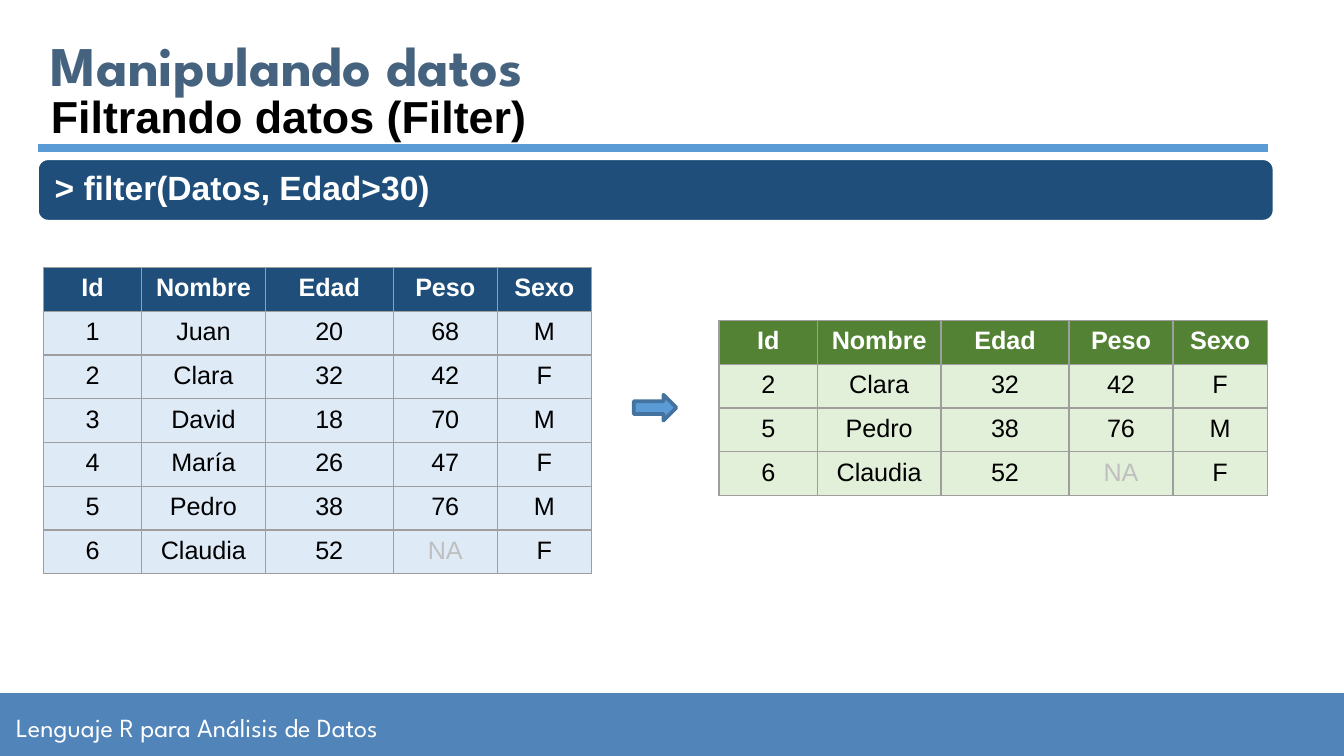
"""Builds the slide on filtering rows of a data table in R."""
import lxml.etree
import pptx
import pptx.dml.color
import pptx.enum.shapes
import pptx.enum.text
import pptx.oxml.ns
import pptx.util

Pt = pptx.util.Pt
qn = pptx.oxml.ns.qn
SHAPE = pptx.enum.shapes.MSO_SHAPE
ANCHOR = pptx.enum.text.MSO_ANCHOR


def paint(color_format, value):
    color_format.rgb = pptx.dml.color.RGBColor.from_string(value)


def write(frame, text, size, font, color, bold=False):
    run = frame.paragraphs[0].add_run()
    run.text = text
    run.font.size = Pt(size)
    run.font.name = font
    run.font.bold = bold
    paint(run.font.color, color)


deck = pptx.Presentation()
deck.slide_width, deck.slide_height = Pt(720), Pt(405)
slide = deck.slides.add_slide(deck.slide_layouts[6])
command = slide.shapes.add_group_shape()

blocks = [
    (slide, SHAPE.RECTANGLE, 0, 371.3, 720, 33.7, "5184B9", None, 0),
    (command, SHAPE.ROUNDED_RECTANGLE, 20.3, 85.3, 662, 33, "1E4E79", "FFFFFF", 1),
    (slide, SHAPE.RIGHT_ARROW, 339.6, 211.5, 22.8, 13.8, "5B9BD5", "43739E", 2),
]
for parent, kind, left, top, width, height, fill, outline, weight in blocks:
    block = parent.shapes.add_shape(kind, Pt(left), Pt(top), Pt(width), Pt(height))
    block.shadow.inherit = False
    block.fill.solid()
    paint(block.fill.fore_color, fill)
    if outline:
        paint(block.line.color, outline)
        block.line.width = Pt(weight)
    else:
        block.line.fill.background()

texts = [
    (slide, "Lenguaje R para Análisis de Datos", 1.5, 372.5, 358, 33.5,
     7.2, 7.2, 14, "League Spartan", "FFFFFF", False, ANCHOR.MIDDLE, 1),
    (slide, "Manipulando datos", 20.2, 16, 474.5, 36.5,
     7.2, 7.2, 30, "League Spartan", "45637F", True, ANCHOR.MIDDLE, 1),
    (command, "> filter(Datos, Edad>30)", 23.3, 86.6, 656, 30.3,
     6, 6, 18, "Arial", "FFFFFF", True, ANCHOR.MIDDLE, 0.9),
    (slide, "Filtrando datos (Filter)", 20.2, 44.2, 673, 36,
     7.2, 3.6, 24, "Arial", "000000", True, ANCHOR.TOP, 1),
]
for (parent, text, left, top, width, height, side, edge,
     size, font, color, bold, anchor, spacing) in texts:
    frame = parent.shapes.add_textbox(Pt(left), Pt(top), Pt(width), Pt(height)).text_frame
    frame.word_wrap = True
    frame.vertical_anchor = anchor
    frame.margin_left = frame.margin_right = Pt(side)
    frame.margin_top = frame.margin_bottom = Pt(edge)
    frame.paragraphs[0].line_spacing = spacing
    write(frame, text, size, font, color, bold)

rule = slide.shapes.add_connector(
    pptx.enum.shapes.MSO_CONNECTOR.STRAIGHT, Pt(20.3), Pt(79.2), Pt(679.3), Pt(79.2))
paint(rule.line.color, "5B9BD5")
rule.line.width = Pt(4.5)
lxml.etree.SubElement(rule._element.spPr, qn("a:effectLst"))

header = ["Id", "Nombre", "Edad", "Peso", "Sexo"]
people = [
    ["1", "Juan", "20", "68", "M"],
    ["2", "Clara", "32", "42", "F"],
    ["3", "David", "18", "70", "M"],
    ["4", "María", "26", "47", "F"],
    ["5", "Pedro", "38", "76", "M"],
    ["6", "Claudia", "52", "NA", "F"],
]
over_30 = [person for person in people if int(person[2]) > 30]
column_widths = [52.7, 66.2, 68.6, 55.7, 50.5]
row_height = 23.45

for records, left, top, head_fill, body_fill in [
    (over_30, 385.2, 171.7, "548235", "E2F0D9"),
    (people, 23.2, 143.3, "1E4E79", "DEEBF7"),
]:
    rows = [header] + records
    table = slide.shapes.add_table(
        len(rows), len(header), Pt(left), Pt(top),
        Pt(sum(column_widths)), Pt(row_height * len(rows))).table
    for column, width in zip(table.columns, column_widths):
        column.width = Pt(width)
    for r, values in enumerate(rows):
        table.rows[r].height = Pt(row_height)
        for c, value in enumerate(values):
            cell = table.cell(r, c)
            for side in ("a:lnL", "a:lnR", "a:lnT", "a:lnB"):
                border = lxml.etree.SubElement(
                    cell._tc.get_or_add_tcPr(), qn(side), w=str(Pt(0.75)))
                border_fill = lxml.etree.SubElement(border, qn("a:solidFill"))
                lxml.etree.SubElement(border_fill, qn("a:srgbClr"), val="9E9E9E")
            cell.fill.solid()
            paint(cell.fill.fore_color, body_fill if r else head_fill)
            cell.text_frame.paragraphs[0].alignment = pptx.enum.text.PP_ALIGN.CENTER
            color = "BFBFBF" if value == "NA" else "000000" if r else "FFFFFF"
            write(cell.text_frame, value, 13.5, "Arial", color, r == 0)

deck.save("out.pptx")
